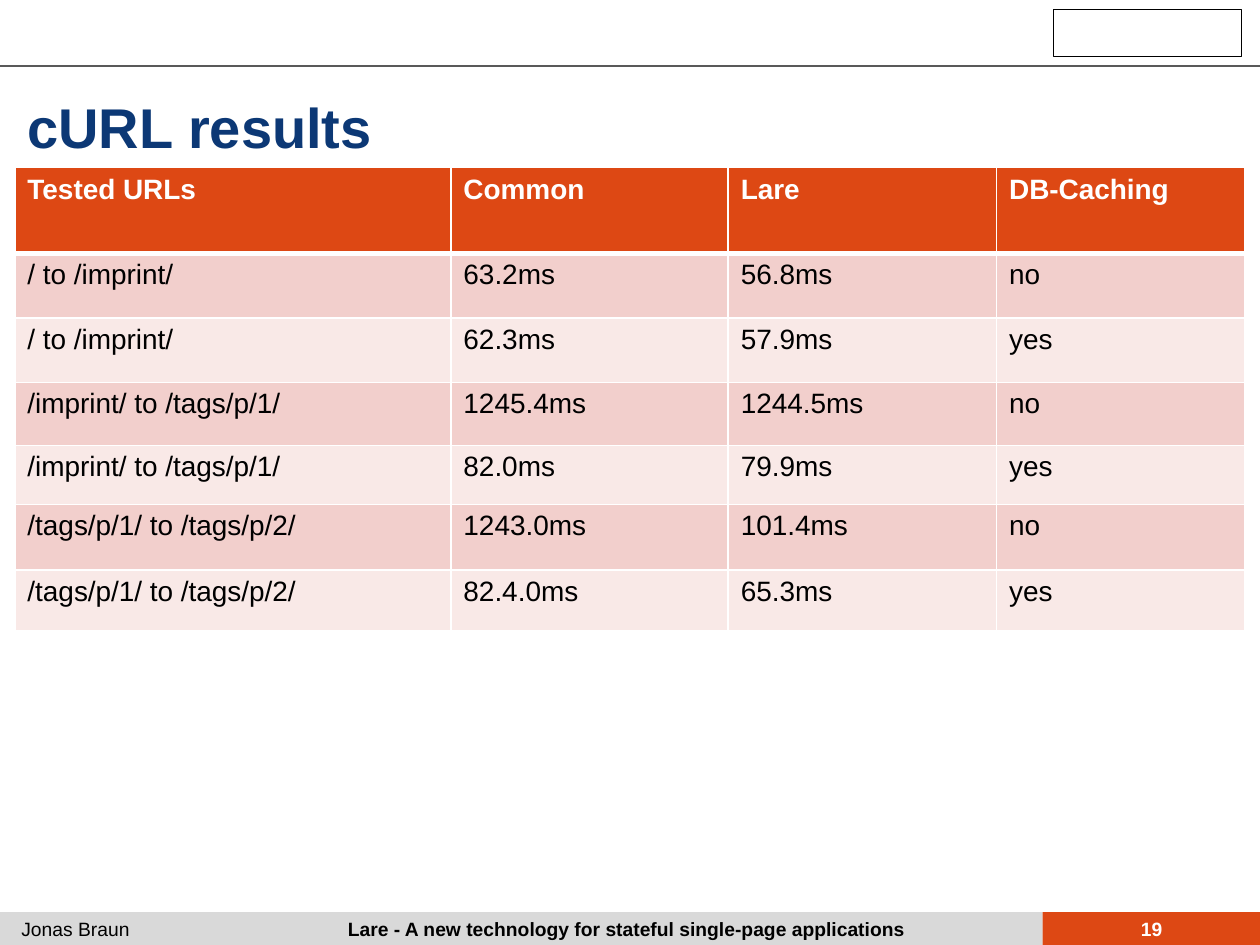
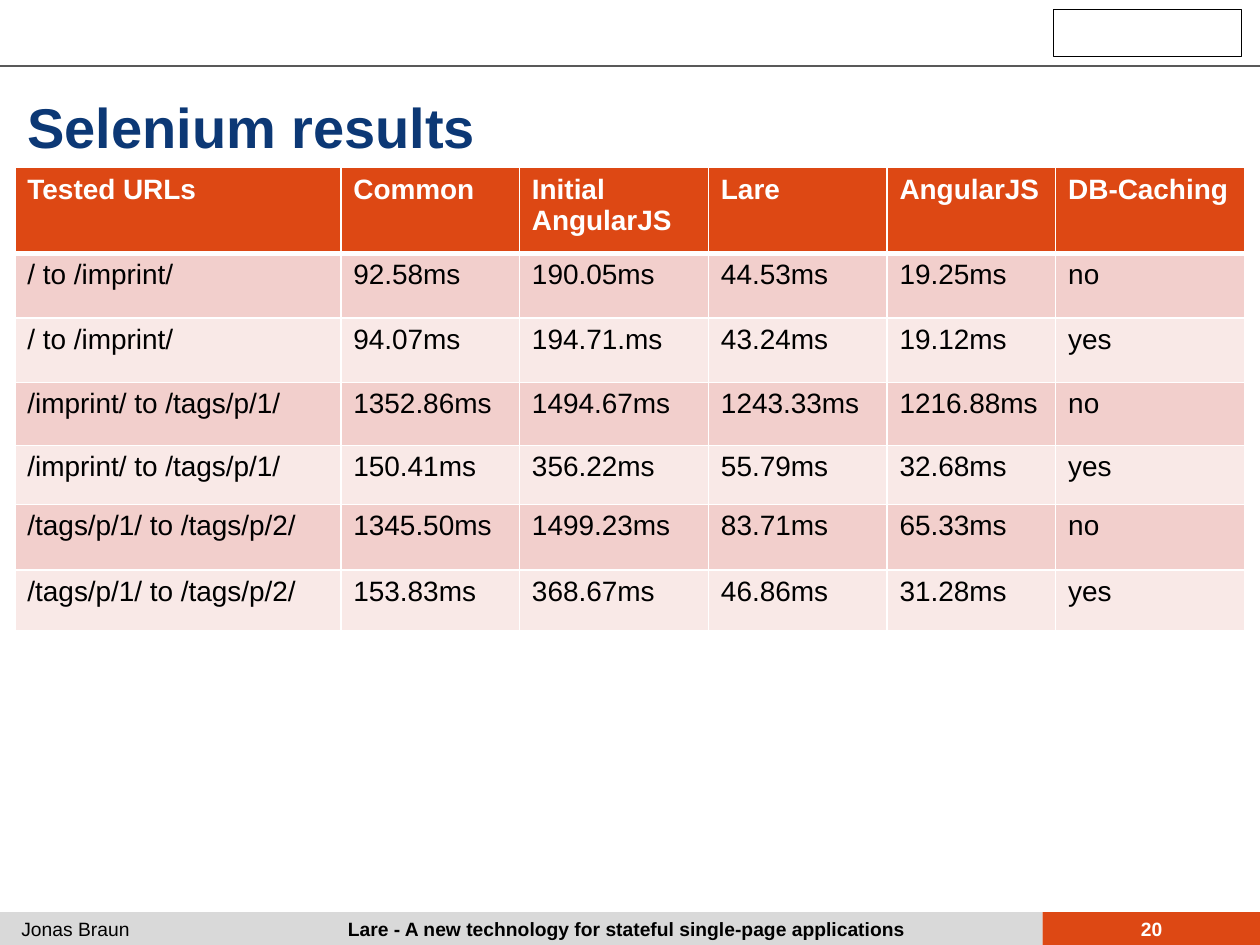
from lxml import etree
from pptx import Presentation
from pptx.dml.color import RGBColor
from pptx.enum.shapes import MSO_CONNECTOR, MSO_SHAPE
from pptx.enum.text import MSO_ANCHOR, PP_ALIGN
from pptx.oxml.ns import qn
from pptx.util import Cm, Pt

ORANGE = RGBColor(0xDD, 0x48, 0x14)
NAVY = RGBColor(0x0C, 0x38, 0x75)
BLACK = RGBColor(0, 0, 0)
WHITE = RGBColor(0xFF, 0xFF, 0xFF)
LIGHT_GREY = RGBColor(0xD9, 0xD9, 0xD9)
DARK_GREY = RGBColor(0x59, 0x59, 0x59)
ROW_FILLS = (RGBColor(0xF2, 0xCF, 0xCC), RGBColor(0xF9, 0xE9, 0xE7))

RECTANGLE = MSO_SHAPE.RECTANGLE
STRAIGHT = MSO_CONNECTOR.STRAIGHT
LEFT, CENTER = PP_ALIGN.LEFT, PP_ALIGN.CENTER
TOP, MIDDLE = MSO_ANCHOR.TOP, MSO_ANCHOR.MIDDLE

FONT = "Arial"
WIDTH, HEIGHT = 25.4, 19.05
MARGIN = 0.3
CONTENT_WIDTH = WIDTH - 2 * MARGIN
FOOTER_TOP, FOOTER_SPLIT = 18.39, 21.02
ROW_HEIGHTS = (1.73, 1.3, 1.3, 1.27, 1.19, 1.32, 1.22)
AUTHOR = "Jonas Braun"
TALK = "Lare - A new technology for stateful single-page applications"

ROUTES = ("/ to /imprint/", "/imprint/ to /tags/p/1/", "/tags/p/1/ to /tags/p/2/")
TESTS = [(route, caching) for route in ROUTES for caching in ("no", "yes")]

RESULTS = [
    {
        "title": "cURL results",
        "widths": (8.79, 5.59, 5.41, 5),
        "headings": ("Common", "Lare"),
        "times": (
            ("63.2ms", "56.8ms"),
            ("62.3ms", "57.9ms"),
            ("1245.4ms", "1244.5ms"),
            ("82.0ms", "79.9ms"),
            ("1243.0ms", "101.4ms"),
            ("82.4.0ms", "65.3ms"),
        ),
    },
    {
        "title": "Selenium results",
        "widths": (6.57, 3.6, 3.81, 3.6, 3.4, 3.81),
        "headings": ("Common", "Initial\vAngularJS", "Lare", "AngularJS"),
        "times": (
            ("92.58ms", "190.05ms", "44.53ms", "19.25ms"),
            ("94.07ms", "194.71.ms", "43.24ms", "19.12ms"),
            ("1352.86ms", "1494.67ms", "1243.33ms", "1216.88ms"),
            ("150.41ms", "356.22ms", "55.79ms", "32.68ms"),
            ("1345.50ms", "1499.23ms", "83.71ms", "65.33ms"),
            ("153.83ms", "368.67ms", "46.86ms", "31.28ms"),
        ),
    },
]


class SlideBuilder:
    def __init__(self, deck):
        self.deck = deck
        self.page = None

    def new_page(self, number):
        self.page = self.deck.slides.add_slide(self.deck.slide_layouts[6])
        self.band(0, FOOTER_TOP, FOOTER_SPLIT, HEIGHT - FOOTER_TOP, LIGHT_GREY)
        self.band(FOOTER_SPLIT, FOOTER_TOP, WIDTH - FOOTER_SPLIT,
                  HEIGHT - FOOTER_TOP, ORANGE)
        self.rule(1.33)
        self.band(21.24, 0.18, 3.78, 0.96, WHITE, BLACK)
        self.footer(AUTHOR, 0.18, 5.92, LEFT, bold=False)
        self.footer(TALK, 4.57, 16.13, CENTER)
        self.footer(str(number), 21.41, 3.61, CENTER, WHITE)

    def band(self, left, top, width, height, fill, outline=None):
        shape = self.page.shapes.add_shape(
            RECTANGLE, Cm(left), Cm(top), Cm(width), Cm(height))
        shape.shadow.inherit = False
        shape.fill.solid()
        shape.fill.fore_color.rgb = fill
        if outline is None:
            shape.line.fill.background()
        else:
            shape.line.color.rgb = outline
            shape.line.width = Pt(0.25)

    def rule(self, top):
        line = self.page.shapes.add_connector(
            STRAIGHT, Cm(0), Cm(top), Cm(WIDTH), Cm(top))
        line.line.color.rgb = DARK_GREY
        line.line.width = Pt(1)
        properties = line._element.find(qn("p:spPr"))
        etree.SubElement(properties, qn("a:effectLst"))

    def text(self, words, left, top, width, height, size, color, bold,
             align=LEFT, anchor=TOP):
        box = self.page.shapes.add_textbox(
            Cm(left), Cm(top), Cm(width), Cm(height))
        frame = box.text_frame
        frame.word_wrap = True
        frame.vertical_anchor = anchor
        frame.text = words
        frame.paragraphs[0].alignment = align
        self.style(frame, size, color, bold)

    def style(self, frame, size, color, bold):
        for para in frame.paragraphs:
            for span in para.runs:
                span.font.name = FONT
                span.font.size = Pt(size)
                span.font.bold = bold
                span.font.color.rgb = color

    def footer(self, words, left, width, align, color=BLACK, bold=True):
        self.text(words, left, 18.36, width, 0.74, 11, color, bold, align)

    def title(self, words):
        self.text(words, MARGIN, 1.93, CONTENT_WIDTH, 1.22, 32, NAVY, True,
                  anchor=MIDDLE)

    def table(self, rows, widths):
        grid = self.page.shapes.add_table(
            len(rows), len(widths), Cm(MARGIN), Cm(3.38),
            Cm(sum(widths)), Cm(sum(ROW_HEIGHTS))).table
        for column, width in zip(grid.columns, widths):
            column.width = Cm(width)
        for index, (row, height) in enumerate(zip(rows, ROW_HEIGHTS)):
            grid.rows[index].height = Cm(height)
            for position, words in enumerate(row):
                self.cell(grid.cell(index, position), words, index)

    def cell(self, cell, words, index):
        heading = index == 0
        cell.text_frame.paragraphs[0].text = words
        self.style(cell.text_frame, 16, WHITE if heading else BLACK, heading)
        self.borders(cell, top=3 if index == 1 else 1, bottom=3 if heading else 1)
        cell.fill.solid()
        cell.fill.fore_color.rgb = ORANGE if heading else ROW_FILLS[(index - 1) % 2]

    def borders(self, cell, top, bottom):
        properties = cell._tc.get_or_add_tcPr()
        for side, points in (("L", 1), ("R", 1), ("T", top), ("B", bottom)):
            line = etree.SubElement(properties, qn("a:ln" + side), w=str(Pt(points)))
            fill = etree.SubElement(line, qn("a:solidFill"))
            etree.SubElement(fill, qn("a:srgbClr"), val=str(WHITE))


deck = Presentation()
deck.slide_width, deck.slide_height = Cm(WIDTH), Cm(HEIGHT)
builder = SlideBuilder(deck)
for number, result in enumerate(RESULTS, start=19):
    rows = [("Tested URLs", *result["headings"], "DB-Caching")]
    for (route, caching), times in zip(TESTS, result["times"]):
        rows.append((route, *times, caching))
    builder.new_page(number)
    builder.table(rows, result["widths"])
    builder.title(result["title"])
deck.save("out.pptx")
